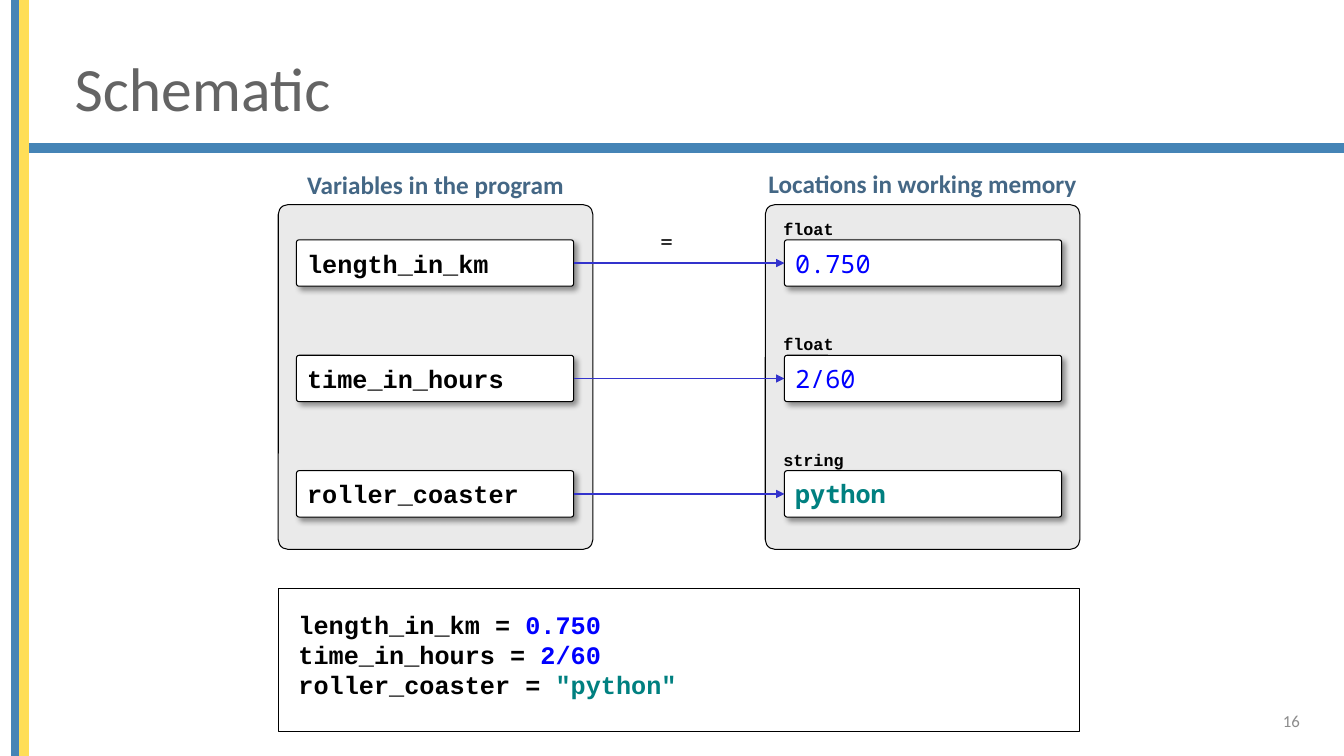
from lxml import etree
from pptx import Presentation
from pptx.dml.color import RGBColor
from pptx.enum import shapes, text
from pptx.oxml import parse_xml
from pptx.oxml.ns import nsdecls, qn
from pptx.util import Inches, Pt

BLUE = RGBColor(0x45, 0x84, 0xB6)
YELLOW = RGBColor(0xFF, 0xDE, 0x57)
TITLE_GRAY = RGBColor(0x64, 0x64, 0x64)
HEADING = RGBColor(0x44, 0x67, 0x85)
PANEL = RGBColor(0xEA, 0xEA, 0xEA)
WHITE = RGBColor(0xFF, 0xFF, 0xFF)
BLACK = RGBColor(0, 0, 0)
NUMBER_BLUE = RGBColor(0, 0, 0xFF)
STRING_TEAL = RGBColor(0, 0x80, 0x80)
ARROW = RGBColor(0x33, 0x33, 0xCC)
PAGE_GRAY = RGBColor(0x8C, 0x8C, 0x8C)

BODY, CODE, MONO = "Calibri", "Courier New", "Noto Sans Mono"

BARS = [  # left, top, width, height, colour
    (0.19, 1.43, 13.14, 0.08, BLUE),
    (0.12, 0, 0.08, 7.5, BLUE),
    (0.2, 0, 0.08, 7.5, YELLOW),
]
PANELS = [  # panel left, heading box, heading
    (2.76, (2.69, 1.63, 3.26, 0.4), "Variables in the program"),
    (7.59, (7.38, 1.62, 3.54, 0.4), "Locations in working memory"),
]
VARIABLES = [  # name, type, value in memory, value in code, colour, bold, label width
    ("length_in_km", "float", "0.750", "0.750", NUMBER_BLUE, False, 0.71),
    ("time_in_hours", "float", "2/60", "2/60", NUMBER_BLUE, False, 0.71),
    ("roller_coaster", "string", "python", '"python"', STRING_TEAL, True, 0.81),
]
NAME_LEFT, VALUE_LEFT = 2.94, 7.78
ROW_TOP, ROW_PITCH = 2.38, 1.145
BOX_WIDTH, BOX_HEIGHT = 2.75, 0.46

presentation = Presentation()
presentation.slide_width, presentation.slide_height = Inches(13.33), Inches(7.5)
slide = presentation.slides.add_slide(presentation.slide_layouts[5])


def write(shape, runs, size=18, font=BODY, color=BLACK, bold=False, wrap=False,
          align=text.PP_ALIGN.LEFT, anchor=text.MSO_ANCHOR.TOP):
    """Fill the shape's paragraph; runs is a string or a list of (text, colour)."""
    frame = shape.text_frame
    frame.word_wrap = wrap
    frame.vertical_anchor = anchor
    paragraph = frame.paragraphs[0]
    paragraph.alignment = align
    for content, run_color in [(runs, color)] if isinstance(runs, str) else runs:
        run = paragraph.add_run()
        run.text = content.rstrip("\n")
        run.font.size, run.font.name, run.font.bold = Pt(size), font, bold
        run.font.color.rgb = run_color
        if content.endswith("\n"):
            paragraph.add_line_break()
    return paragraph


def add_text(box, runs, **style):
    return write(slide.shapes.add_textbox(*map(Inches, box)), runs, **style)


def add_box(kind, box, fill, line=BLACK, line_width=0.75, corner=None):
    shape = slide.shapes.add_shape(kind, *map(Inches, box))
    shape.shadow.inherit = False
    shape.fill.solid()
    shape.fill.fore_color.rgb = fill
    shape.line.color.rgb = line
    shape.line.width = Pt(line_width)
    if corner is not None:
        shape.adjustments[0] = corner
    return shape


def add_cell(left, top, content, **style):
    """Add a white box with a soft shadow and one line of text."""
    shape = add_box(shapes.MSO_SHAPE.ROUNDED_RECTANGLE,
                    (left, top, BOX_WIDTH, BOX_HEIGHT), WHITE, corner=0.058)
    effects = shape._element.spPr.find(qn("a:effectLst"))
    effects.append(parse_xml(
        f'<a:outerShdw {nsdecls("a")} blurRad="{Pt(4)}" dist="{Pt(3)}" dir="2700000" '
        'algn="tl" rotWithShape="0"><a:srgbClr val="000000"><a:alpha val="40000"/>'
        '</a:srgbClr></a:outerShdw>'))
    write(shape, content, anchor=text.MSO_ANCHOR.MIDDLE, **style)
    return shape


def add_arrow(start, end):
    arrow = slide.shapes.add_connector(shapes.MSO_CONNECTOR.STRAIGHT, 0, 0, 0, 0)
    arrow.begin_connect(start, 3)
    arrow.end_connect(end, 1)
    arrow.line.color.rgb = ARROW
    arrow.line.width = Pt(1.25)
    etree.SubElement(arrow.line._get_or_add_ln(), qn("a:tailEnd"), type="triangle")
    etree.SubElement(arrow._element.spPr, qn("a:effectLst"))


for *box, color in BARS:
    add_box(shapes.MSO_SHAPE.RECTANGLE, box, color, line=color, line_width=1)

title = slide.shapes.title
title.left, title.top, title.width, title.height = map(Inches, (0.64, 0.4, 11.78, 1.01))
write(title, "Schematic", size=44, color=TITLE_GRAY, wrap=True,
      anchor=text.MSO_ANCHOR.MIDDLE).line_spacing = 0.9

for left, heading_box, heading in PANELS:
    add_box(shapes.MSO_SHAPE.ROUNDED_RECTANGLE, (left, 2.03, 3.12, 3.42), PANEL, corner=0.031)
    add_text(heading_box, heading, color=HEADING, bold=True, align=text.PP_ALIGN.CENTER)

code_box = add_box(shapes.MSO_SHAPE.FOLDED_CORNER, (2.76, 5.84, 7.95, 1.42), WHITE)
guides = code_box._element.spPr.find(qn("a:prstGeom")).find(qn("a:avLst"))
etree.SubElement(guides, qn("a:gd"), name="adj", fmla="val 0")
fill_color = code_box._element.spPr.find(qn("a:solidFill"))[0]
etree.SubElement(fill_color, qn("a:alpha"), val="70000")
frame = code_box.text_frame
frame.margin_left = frame.margin_right = frame.margin_top = frame.margin_bottom = Inches(0.2)
code = []
for row, (name, type_name, value, literal, color, bold, label_width) in enumerate(VARIABLES):
    top = ROW_TOP + row * ROW_PITCH
    name_cell = add_cell(NAME_LEFT, top, name, font=CODE, bold=True)
    value_cell = add_cell(VALUE_LEFT, top, value, font=MONO, color=color, bold=bold)
    add_arrow(name_cell, value_cell)
    add_text((VALUE_LEFT - 0.11, top - 0.26, label_width, 0.3), type_name,
             size=12, font=CODE, bold=True)
    line_end = "\n" if row < len(VARIABLES) - 1 else ""
    code += [(f"{name} = ", BLACK), (literal + line_end, color)]
write(code_box, code, font=CODE, bold=True)

add_text((6.45, 2.19, 0.35, 0.4), "=", wrap=True)
add_text((9.99, 6.95, 3, 0.4), "16", size=12, color=PAGE_GRAY, wrap=True,
         align=text.PP_ALIGN.RIGHT, anchor=text.MSO_ANCHOR.MIDDLE)

presentation.save("out.pptx")
